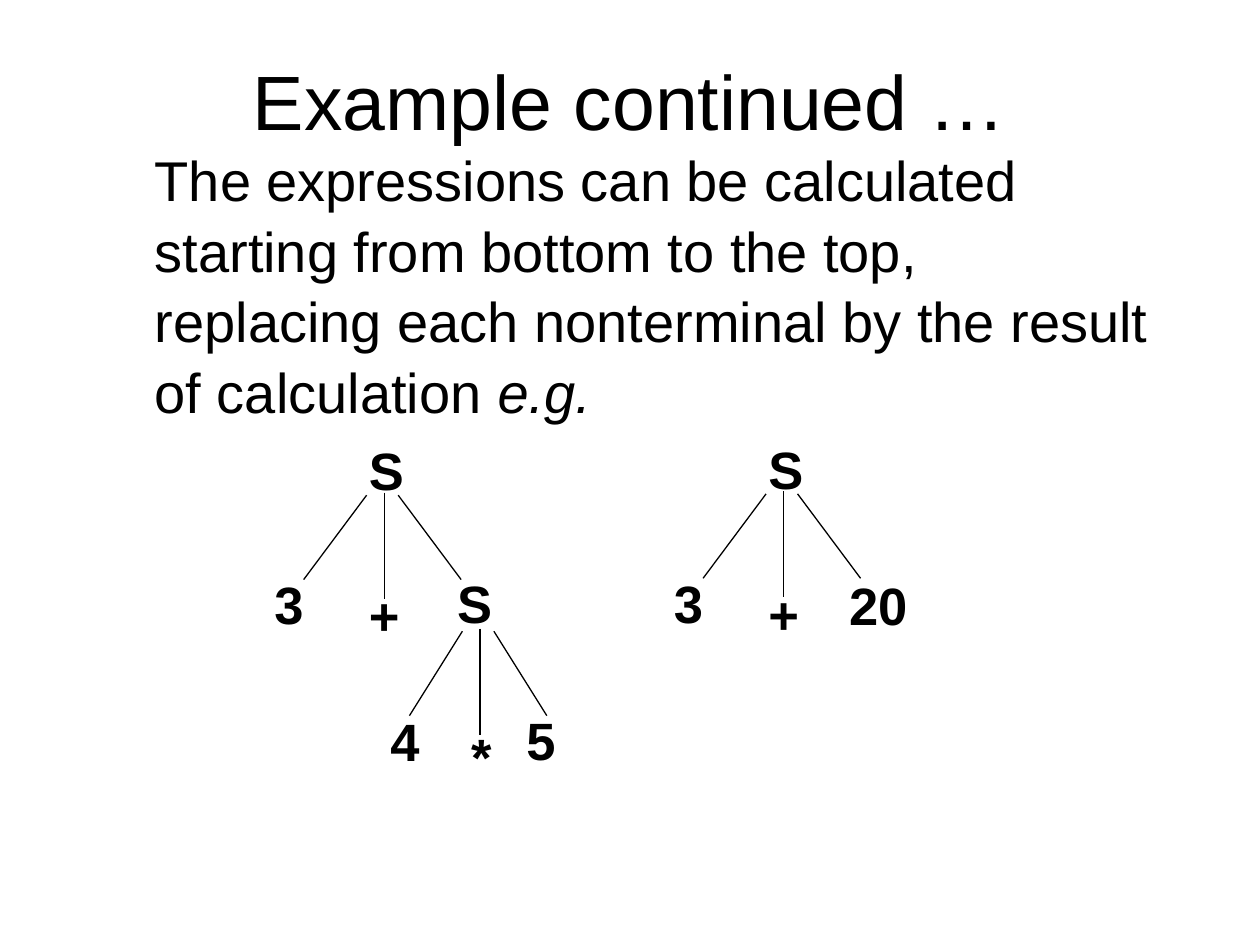
from lxml.etree import SubElement
from pptx import Presentation
from pptx.dml.color import RGBColor
from pptx.enum.shapes import MSO_CONNECTOR
from pptx.enum.text import MSO_ANCHOR, MSO_AUTO_SIZE, PP_ALIGN
from pptx.oxml.ns import qn
from pptx.util import Inches, Pt

BLACK = RGBColor(0, 0, 0)
FONT = "Arial"


def set_font(p, size, bold=False):
    p.font.name = FONT
    p.font.size = Pt(size)
    p.font.bold = bold
    p.font.color.rgb = BLACK


def add_title(slide, text):
    sp = slide.shapes.title
    sp.left, sp.top = Inches(0.75), Inches(0.17)
    sp.width, sp.height = Inches(8.5), Inches(1.25)
    tf = sp.text_frame
    tf.text = text
    tf.vertical_anchor = MSO_ANCHOR.MIDDLE
    p = tf.paragraphs[0]
    p.alignment = PP_ALIGN.CENTER
    set_font(p, 44)


def add_body(slide, text, italic_end):
    sp = slide.shapes.add_textbox(Inches(0.75), Inches(1.08), Inches(8.5), Inches(4.5))
    tf = sp.text_frame
    tf.word_wrap = True
    p = tf.paragraphs[0]
    p._p.get_or_add_pPr().set("marL", str(Inches(0.38)))
    p.line_spacing = 1.05
    set_font(p, 32)
    p.add_run().text = text
    r = p.add_run()
    r.text = italic_end
    r.font.italic = True


def add_label(slide, text, x, y):
    sp = slide.shapes.add_textbox(Inches(x), Inches(y), Inches(0.92), Inches(0.6))
    tf = sp.text_frame
    tf.word_wrap = True
    tf.auto_size = MSO_AUTO_SIZE.SHAPE_TO_FIT_TEXT
    p = tf.paragraphs[0]
    p.text = text
    set_font(p, 30, bold=True)


def add_line(slide, x1, y1, x2, y2):
    line = slide.shapes.add_connector(
        MSO_CONNECTOR.STRAIGHT, Inches(x1), Inches(y1), Inches(x2), Inches(y2))
    line.line.color.rgb = BLACK
    line.line.width = Pt(0.75)
    SubElement(line._element.spPr, qn("a:effectLst"))


def add_fork(slide, x, y, reach):
    """Three branches below a node: a stem at x and two slanted sides."""
    left, right = x - 0.14, x + 0.11
    add_line(slide, left, y, left - reach, y + 0.67)
    add_line(slide, right, y, right + reach, y + 0.67)
    add_line(slide, x, y - 0.02, x, y + 0.82)


def add_sum_tree(slide, x, y):
    """The tree S -> 3 + ..., its right operand left to the caller."""
    add_label(slide, "S", x, y)
    add_label(slide, "3", x - 0.75, y + 1.06)
    add_label(slide, "+", x, y + 1.15)
    add_fork(slide, x + 0.22, y + 0.5, 0.5)


def add_product_tree(slide, x, y):
    add_label(slide, "S", x, y)
    add_label(slide, "4", x - 0.53, y + 1.1)
    add_label(slide, "*", x + 0.11, y + 1.22)
    add_label(slide, "5", x + 0.55, y + 1.09)
    add_fork(slide, x + 0.28, y + 0.53, 0.42)


def main():
    prs = Presentation()
    prs.slide_width, prs.slide_height = Inches(10), Inches(7.5)
    slide = prs.slides.add_slide(prs.slide_layouts[5])
    add_title(slide, "Example continued …")
    add_body(
        slide,
        "The expressions can be calculated starting from bottom to the top, "
        "replacing each nonterminal by the result of calculation ",
        "e.g.")
    add_sum_tree(slide, 2.83, 3.43)
    add_product_tree(slide, 3.53, 4.48)
    add_sum_tree(slide, 6, 3.42)
    add_label(slide, "20", 6.64, 4.5)
    prs.save("out.pptx")


if __name__ == "__main__":
    main()
